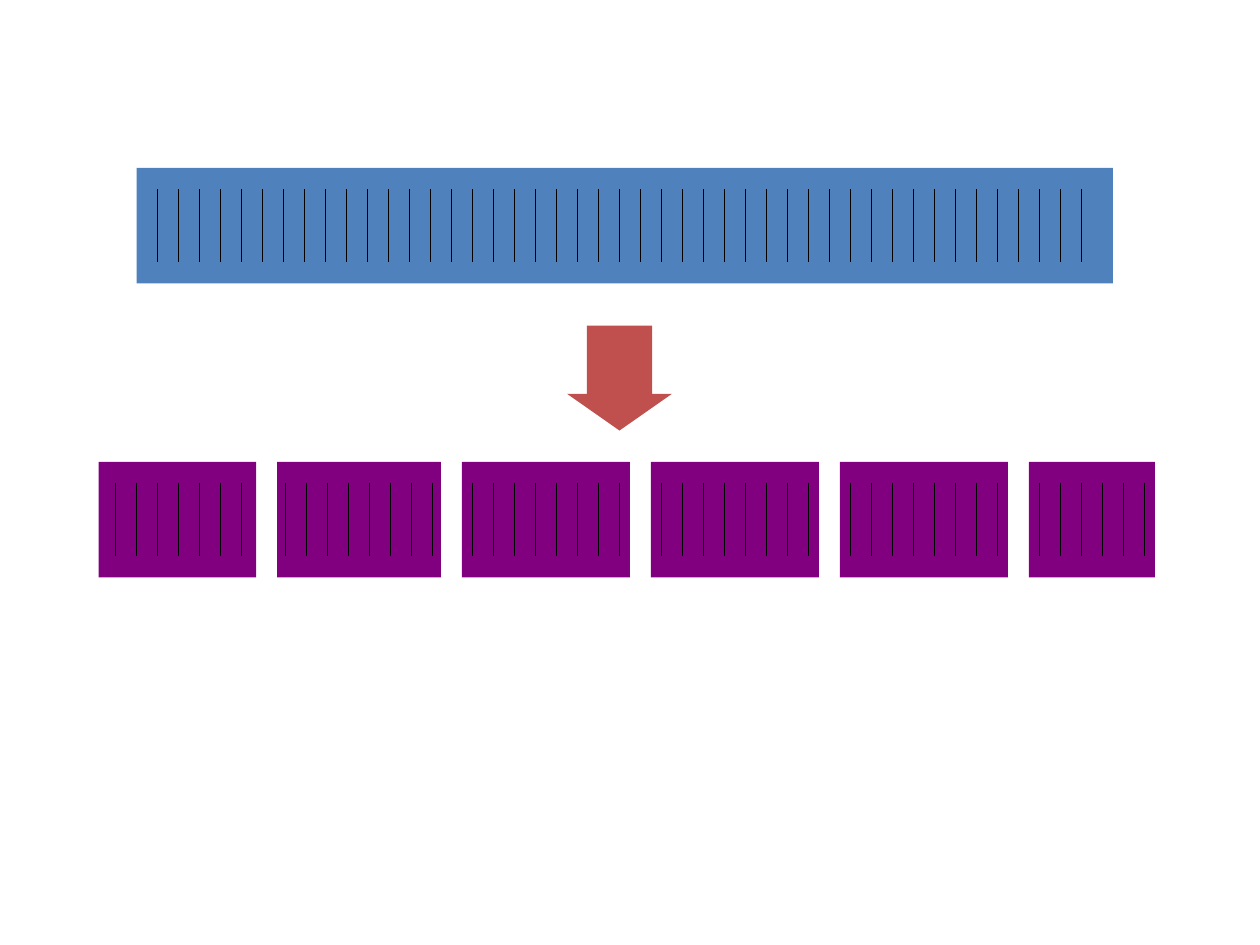
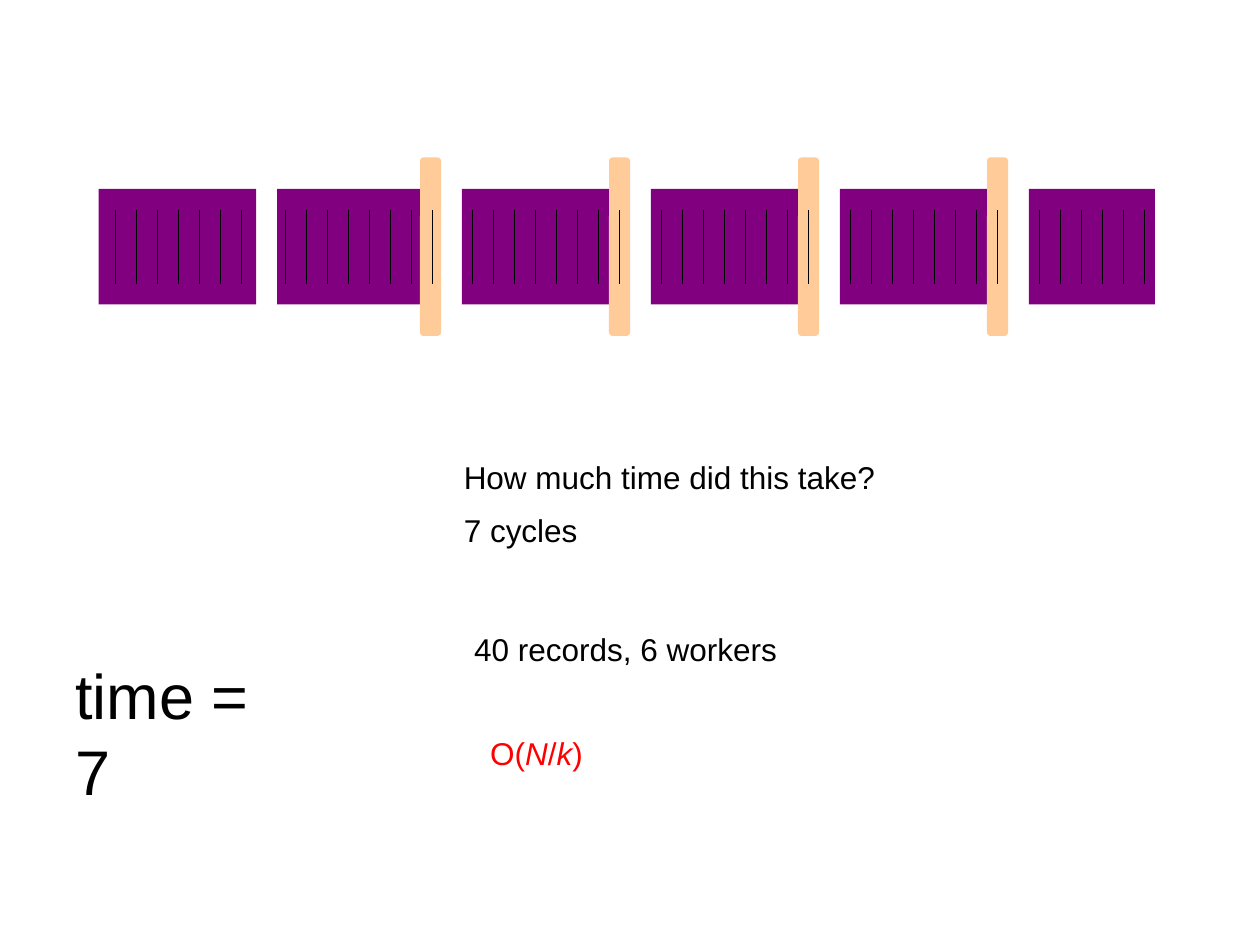
from lxml import etree
from pptx import Presentation
from pptx import util as u
from pptx.dml.color import RGBColor
from pptx.enum import shapes
from pptx.oxml import ns

BLACK = RGBColor(0x00, 0x00, 0x00)
RED = RGBColor(0xFF, 0x00, 0x00)
DATA_BLUE = RGBColor(0x4F, 0x81, 0xBD)
ARROW_RED = RGBColor(0xC0, 0x50, 0x4D)
CHUNK_PURPLE = RGBColor(0x80, 0x00, 0x80)
WORKER_ORANGE = RGBColor(0xFF, 0xCC, 0x99)

STEP = 2.54 / 6
BAND_HEIGHT = 5.5
FIRST_BAR_TOP = 8
CHUNK_TOPS = (22, 9)
CHUNKS = [
    (4.7, 7.5, 5.5, 7),
    (13.2, 7.8, 13.6, 8),
    (22, 8, 22.5, 8),
    (31, 8, 31.5, 8),
    (40, 8, 40.5, 8),
    (49, 6, 49.5, 6),
]


def add_block(slide, kind, left, top, width, height, color, adjustments=()):
    box = [u.Cm(value * STEP) for value in (left, top, width, height)]
    shape = slide.shapes.add_shape(kind, *box)
    shape.shadow.inherit = False
    shape.fill.solid()
    shape.fill.fore_color.rgb = color
    shape.line.fill.background()
    for index, value in enumerate(adjustments):
        shape.adjustments[index] = value


def add_records(slide, first, count, band_top):
    for index in range(count):
        x = u.Cm((first + index) * STEP)
        record = slide.shapes.add_connector(
            shapes.MSO_CONNECTOR.STRAIGHT,
            x, u.Cm((band_top + 1) * STEP), x, u.Cm((band_top + 4.5) * STEP))
        record.line.color.rgb = BLACK
        record.line.width = u.Pt(0.75)
        properties = record._element.spPr
        etree.SubElement(properties, ns.qn("a:effectLst"))


presentation = Presentation()
presentation.slide_width = u.Cm(25.4)
presentation.slide_height = u.Cm(19.05)
blank = presentation.slide_layouts[6]
split_slide, scan_slide = [presentation.slides.add_slide(blank) for _ in CHUNK_TOPS]

RECTANGLE = shapes.MSO_SHAPE.RECTANGLE
add_block(split_slide, RECTANGLE, 6.5, FIRST_BAR_TOP, 46.5, BAND_HEIGHT, DATA_BLUE)
add_records(split_slide, 7.5, 45, FIRST_BAR_TOP)
add_block(split_slide, shapes.MSO_SHAPE.DOWN_ARROW, 27, 15.5, 5, 5, ARROW_RED, (0.62, 0.35))

for slide, top in zip((split_slide, scan_slide), CHUNK_TOPS):
    for left, width, first, count in CHUNKS:
        add_block(slide, RECTANGLE, left, top, width, BAND_HEIGHT, CHUNK_PURPLE)
        if slide is scan_slide and width > 7.5:
            add_block(slide, shapes.MSO_SHAPE.ROUNDED_RECTANGLE,
                      left + width - 1, top - 1.5, 1, 8.5, WORKER_ORANGE, (0.17,))
        add_records(slide, first, count, top)

captions = [
    ((1.27, 13.12, 4.75, 1.78), 36, BLACK, [["time = 7"]]),
    ((9.1, 9.1, 11.85, 2.79), 18, BLACK, [["How much time did this take?"], ["7 cycles"]]),
    ((9.31, 12.57, 11.85, 1.27), 18, BLACK, [["40 records, 6 workers"]]),
    ((9.63, 14.68, 2.87, 1.27), 18, RED, [["O(", "N", "/", "k", ")"]]),
]
for box, size, color, lines in captions:
    frame = scan_slide.shapes.add_textbox(*map(u.Cm, box)).text_frame
    frame.word_wrap = True
    for index, pieces in enumerate(lines):
        paragraph = frame.add_paragraph() if index else frame.paragraphs[0]
        if index:
            paragraph.space_before = u.Pt(size / 2)
        for piece in pieces:
            run = paragraph.add_run()
            run.text = piece
            run.font.color.rgb = color
            font_format = {"name": "Arial", "size": u.Pt(size), "italic": piece in ("N", "k")}
            for attribute, value in font_format.items():
                setattr(run.font, attribute, value)

presentation.save("out.pptx")
